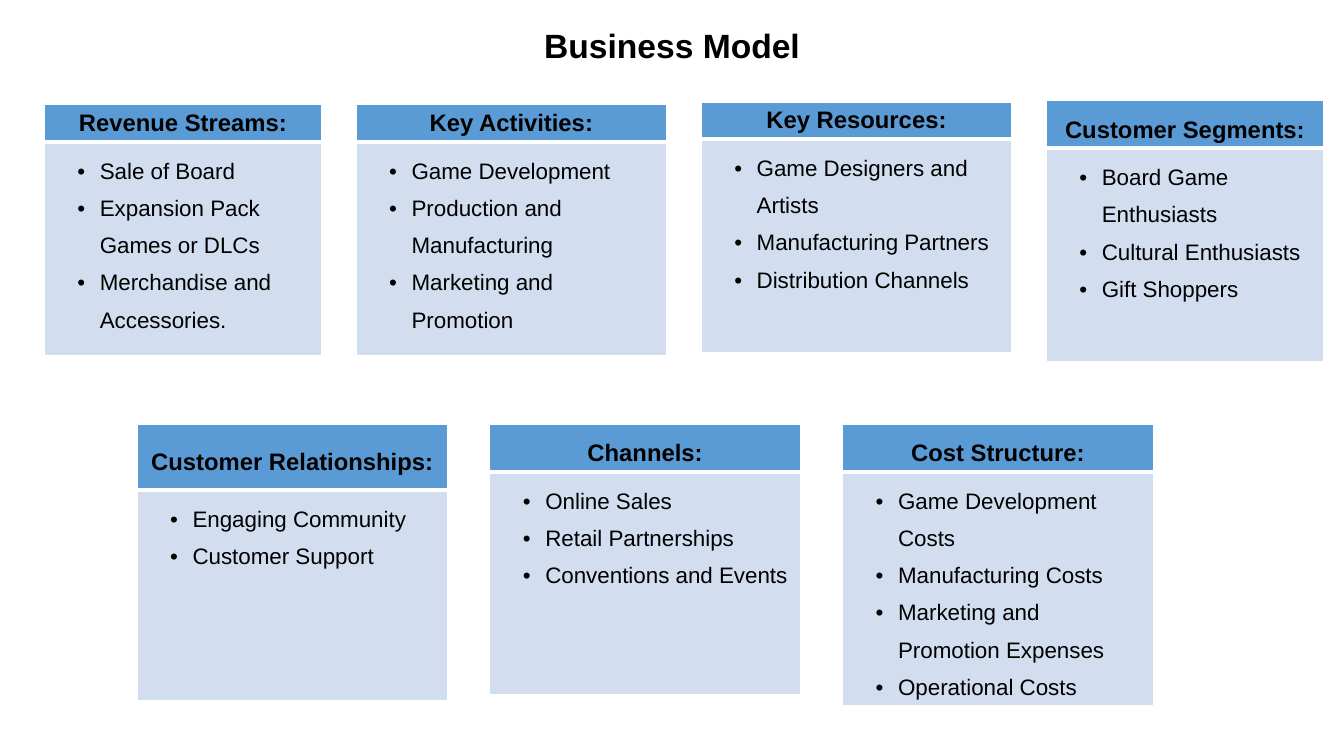
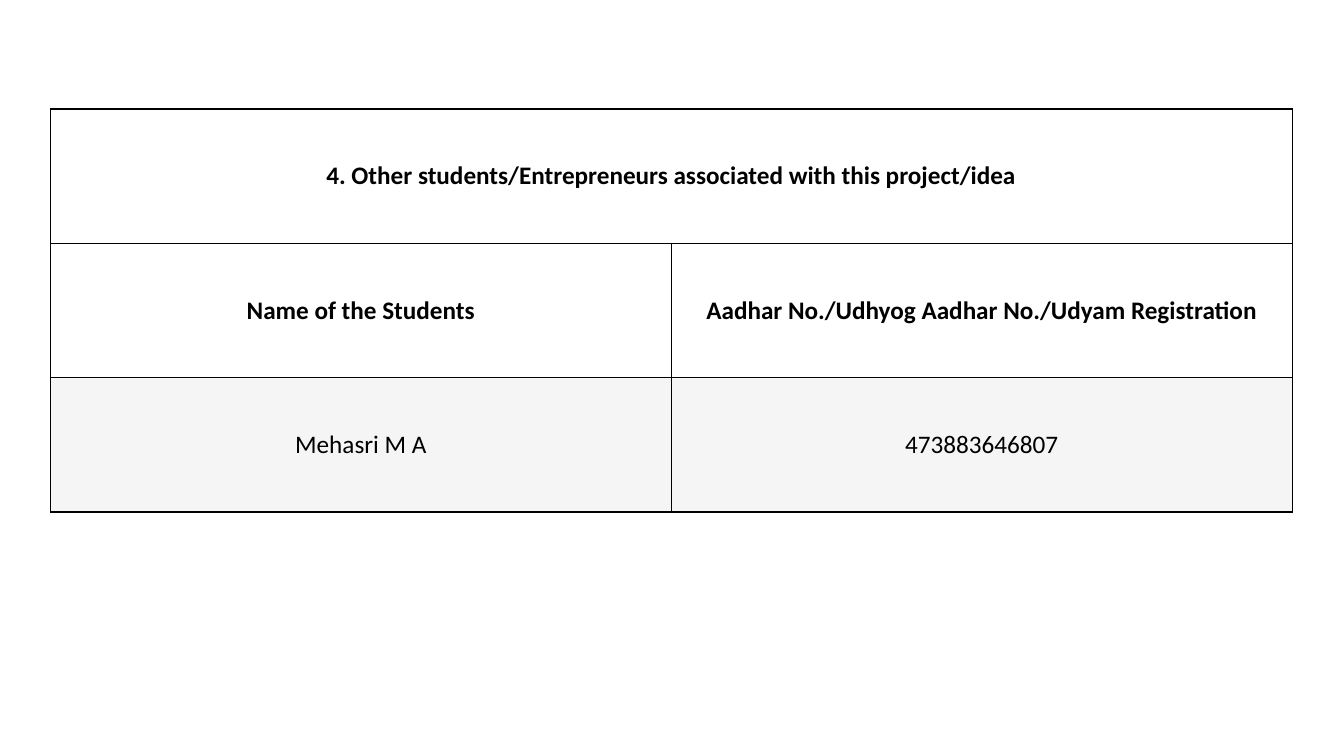
from pptx import Presentation
from pptx.dml.color import RGBColor
from pptx.enum.text import MSO_ANCHOR as Anchor, PP_ALIGN as Align
from pptx.oxml.ns import qn
from pptx.util import Pt
from lxml.etree import SubElement

BLACK, WHITE, BLUE, PALE, GREY = "000000", "FFFFFF", "5B9BD5", "D2DEEF", "F5F5F5"
LINE = 26.6

TITLE = "Business Model"
# heading, bullets, width, top, heading height, body height, heading line spacing
TOP_CARDS = [
    ("Revenue Streams:",
     ["Sale of Board", "Expansion Pack Games or DLCs", "Merchandise and Accessories."],
     198, 74.9, 26.3, 152.6, None),
    ("Key Activities:",
     ["Game Development", "Production and Manufacturing", "Marketing and Promotion"],
     221.8, 74.9, 26.3, 152.6, None),
    ("Key Resources:",
     ["Game Designers and Artists", "Manufacturing Partners", "Distribution Channels"],
     221.8, 72.9, 26.3, 152.6, None),
    ("Customer Segments:",
     ["Board Game Enthusiasts", "Cultural Enthusiasts", "Gift Shoppers"],
     198, 72, 33.8, 152.6, LINE),
]
BOTTOM_CARDS = [
    ("Customer Relationships:",
     ["Engaging Community", "Customer Support"],
     221.8, 303.1, 46.8, 150.5, LINE),
    ("Channels:",
     ["Online Sales", "Retail Partnerships", "Conventions and Events"],
     221.8, 303.1, 33.8, 159.1, LINE),
    ("Cost Structure:",
     ["Game Development Costs", "Manufacturing Costs",
      "Marketing and Promotion Expenses", "Operational Costs"],
     221.8, 303.1, 33.8, 166.8, LINE),
]
# cards, left edge, gap between cards
CARD_ROWS = [(TOP_CARDS, 31.7, 24.7), (BOTTOM_CARDS, 97.9, 30.2)]

# texts, fill, bold
STUDENT_ROWS = [
    (["4. Other students/Entrepreneurs associated with this project/idea"], WHITE, True),
    (["Name of the Students", "Aadhar No./Udhyog Aadhar No./Udyam Registration"], WHITE, True),
    (["Mehasri M A", "473883646807"], GREY, False),
]


def rgb(value):
    return RGBColor.from_string(value)


def write(frame, texts, size, font="Arial", bold=False, align=None, spacing=None, bullet=False):
    """Put one paragraph per text into the frame."""
    for index, text in enumerate(texts):
        paragraph = frame.paragraphs[0] if index == 0 else frame.add_paragraph()
        if bullet:
            paragraph.level = 1
            props = paragraph._p.get_or_add_pPr()
            props.set("marL", str(Pt(32.4)))
            props.set("indent", str(Pt(-16)))
            SubElement(props, qn("a:buFont"), typeface="Arial")
            SubElement(props, qn("a:buChar"), char="•")
        if align is not None:
            paragraph.alignment = align
        if spacing:
            paragraph.line_spacing = Pt(spacing)
        run = paragraph.add_run()
        run.text = text
        run.font.name, run.font.size, run.font.bold = font, Pt(size), bold
        run.font.color.rgb = rgb(BLACK)


def style_cell(cell, fill, border, top=1, bottom=1):
    """Draw the four borders, 1 pt at the sides, and fill the cell."""
    props = cell._tc.get_or_add_tcPr()
    for side, width in (("L", 1), ("R", 1), ("T", top), ("B", bottom)):
        line = SubElement(props, qn(f"a:ln{side}"), w=str(Pt(width)))
        SubElement(SubElement(line, qn("a:solidFill")), qn("a:srgbClr"), val=border)
    cell.fill.solid()
    cell.fill.fore_color.rgb = rgb(fill)


def add_grid(slide, left, top, widths, heights):
    grid = slide.shapes.add_table(len(heights), len(widths), Pt(left), Pt(top),
                                  Pt(sum(widths)), Pt(sum(heights))).table
    grid.first_row = grid.horz_banding = False
    for column, width in zip(grid.columns, widths):
        column.width = Pt(width)
    for row, height in zip(grid.rows, heights):
        row.height = Pt(height)
    return grid


def add_card(slide, left, card):
    heading, bullets, width, top, heading_height, body_height, spacing = card
    grid = add_grid(slide, left, top, [width], [heading_height, body_height])
    head, body = grid.cell(0, 0), grid.cell(1, 0)
    style_cell(head, BLUE, WHITE, bottom=3)
    head.vertical_anchor = Anchor.MIDDLE
    write(head.text_frame, [heading], 17, bold=True, align=Align.CENTER, spacing=spacing)
    style_cell(body, PALE, WHITE, top=3)
    write(body.text_frame, bullets, 16, spacing=LINE, bullet=True)


def build_business_model(slide):
    for cards, left, gap in CARD_ROWS:
        for card in cards:
            add_card(slide, left, card)
            left += card[2] + gap
    title = slide.shapes.add_textbox(Pt(381.6), Pt(14.4), Pt(197.3), Pt(36)).text_frame
    title.word_wrap = False
    write(title, [TITLE], 24, bold=True)


def build_students(slide):
    grid = add_grid(slide, 36, 77.8, [443.5] * 2, [96] * len(STUDENT_ROWS))
    for row, (texts, fill, bold) in enumerate(STUDENT_ROWS):
        for column in range(2):
            cell = grid.cell(row, column)
            style_cell(cell, fill, BLACK)
            cell.vertical_anchor = Anchor.MIDDLE
            cell.margin_left = cell.margin_right = Pt(6)
            cell.margin_top = cell.margin_bottom = Pt(6)
            if column < len(texts):
                write(cell.text_frame, [texts[column]], 18, font="Calibri",
                      bold=bold, align=Align.CENTER)
    grid.cell(0, 0).merge(grid.cell(0, 1))


def main():
    deck = Presentation()
    deck.slide_width, deck.slide_height = Pt(960), Pt(540)
    for build in (build_business_model, build_students):
        build(deck.slides.add_slide(deck.slide_layouts[6]))
    deck.save("out.pptx")


if __name__ == "__main__":
    main()
